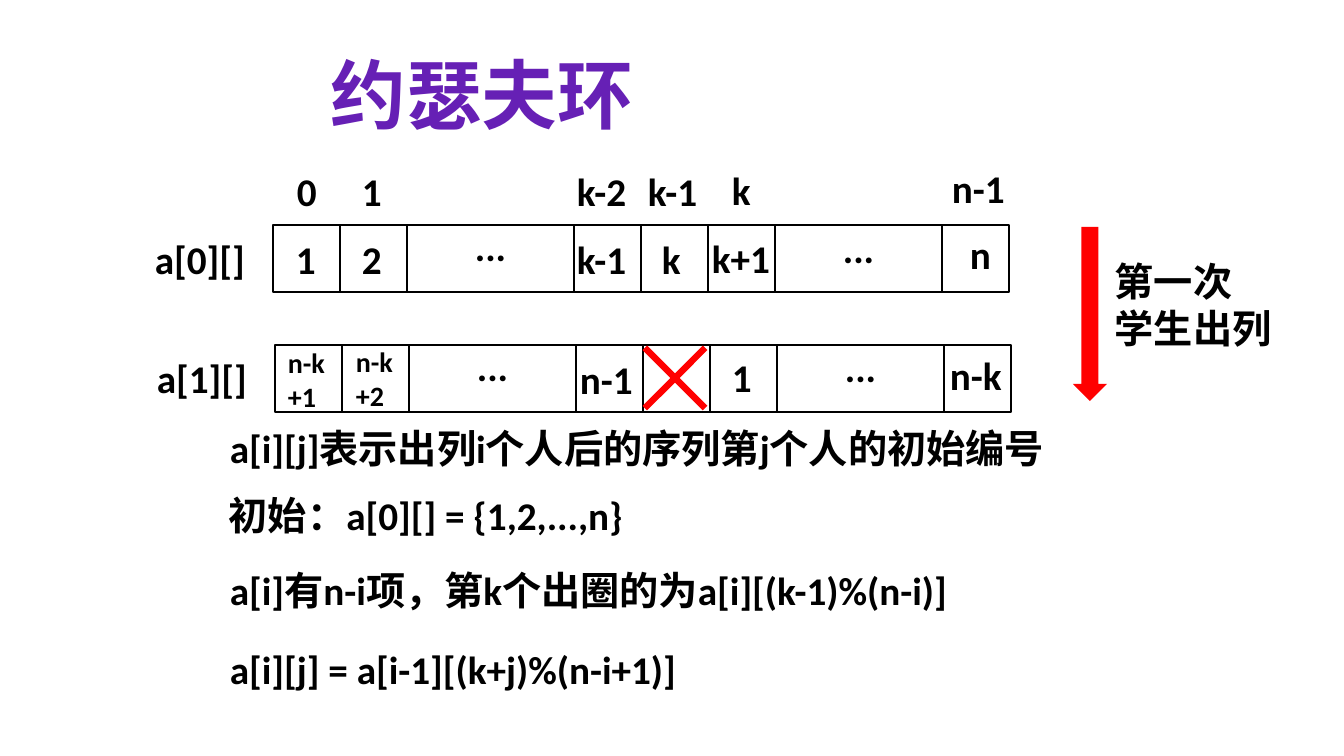
"""Build the Josephus circle slide: two array rows, a removal cross and formulas."""
from itertools import accumulate

from lxml import etree
from pptx import Presentation
from pptx.dml.color import RGBColor
from pptx.enum.shapes import MSO_SHAPE
from pptx.enum.text import MSO_AUTO_SIZE, PP_ALIGN
from pptx.oxml.ns import qn
from pptx.util import Pt

RECT, CROSS, ARROW = MSO_SHAPE.RECTANGLE, MSO_SHAPE.MATH_MULTIPLY, MSO_SHAPE.DOWN_ARROW
GROW, LEFT, CENTER = MSO_AUTO_SIZE.SHAPE_TO_FIT_TEXT, PP_ALIGN.LEFT, PP_ALIGN.CENTER
BLACK, WHITE = RGBColor(0, 0, 0), RGBColor(255, 255, 255)
RED, PURPLE = RGBColor(255, 0, 0), RGBColor(0x66, 0x20, 0xB5)
SCALE = 914400 / 100.8
FONT = {"name": "Calibri", "bold": True}

TITLE = ("约瑟夫环", 320, 43, 324)
CELL, GAP = 67, 167
CELL_WIDTHS = [CELL, CELL, GAP, CELL, CELL, CELL, GAP, CELL]
ROWS = [(273, 225), (275, 345)]
INDEXES = [
    ("0", 287, 162, 42), ("1", 352, 162, 42), ("k-2", 567, 162, 81),
    ("k-1", 638, 162, 81), ("k", 722, 161, 42), ("n-1", 942, 159, 81),
]
BEFORE = [
    ("a[0][]", 145, 230, 117), ("1", 286, 230, 42), ("2", 352, 230, 42),
    ("...", 465, 217, 53), ("k-1", 567, 230, 81), ("k", 652, 230, 42),
    ("k+1", 702, 229, 92), ("...", 833, 219, 53), ("n", 960, 225, 43),
]
AFTER = [
    ("a[1][]", 147, 349, 117), ("...", 467, 337, 53), ("n-1", 570, 350, 81),
    ("1", 722, 348, 42), ("...", 835, 338, 53), ("n-k", 940, 346, 82),
]
WRAPPED_CELLS = [("n-k\n+1", 278, 341, 65), ("n-k\n+2", 346, 340, 65)]
NOTES = [
    ("第一次\n学生出列", 1105, 252, 195),
    ("a[i][j]表示出列i个人后的序列第j个人的初始编号", 220, 419, 886),
    ("初始：a[0][] = {1,2,...,n}", 219, 486, 804),
    ("a[i]有n-i项，第k个出圈的为a[i][(k-1)%(n-i)]", 220, 561, 804),
    ("a[i][j] = a[i-1][(k+j)%(n-i+1)]", 220, 640, 804),
]
MARKS = [(CROSS, (617, 320, 116, 116), 0.056), (ARROW, (1073, 227, 34, 174), 0.5)]


def px(*lengths):
    return [round(n * SCALE) for n in lengths]


def add_shape(s, kind, box, fill, line=None):
    sp = s.shapes.add_shape(kind, *px(*box))
    sp.shadow.inherit = False
    sp.fill.solid()
    sp.fill.fore_color.rgb = fill
    if line is None:
        sp.line.fill.background()
    else:
        sp.line.color.rgb = line
        sp.line.width = Pt(1)
    return sp


def add_text(s, item, size=28, color=BLACK, align=LEFT, wrap=False):
    text, x, y, w = item
    lines = text.split("\n")
    height = len(lines) * size * 1.68 + 10
    tf = s.shapes.add_textbox(*px(x, y, w, height)).text_frame
    for name, value in {"word_wrap": wrap, "auto_size": GROW}.items():
        setattr(tf, name, value)
    for i, line in enumerate(lines):
        p = tf.add_paragraph() if i else tf.paragraphs[0]
        p.alignment = align
        r = p.add_run()
        r.text = line
        for name, value in {**FONT, "size": Pt(size)}.items():
            setattr(r.font, name, value)
        r.font.color.rgb = color
    return tf


def add_text_shadow(r):
    fill = r.font._element.find(qn("a:solidFill"))
    effects = etree.Element(qn("a:effectLst"))
    shadow = etree.SubElement(effects, qn("a:outerShdw"), blurRad="50800",
                              dist="50800", dir="2700000", algn="tl")
    tone = etree.SubElement(shadow, qn("a:srgbClr"), val="000000")
    etree.SubElement(tone, qn("a:alpha"), val="50000")
    fill.addnext(effects)


prs = Presentation()
prs.slide_width, prs.slide_height = px(1344, 756)
s = prs.slides.add_slide(prs.slide_layouts[6])

for left, top in ROWS:
    for x, w in zip(accumulate(CELL_WIDTHS, initial=left), CELL_WIDTHS):
        add_shape(s, RECT, (x, top, w, CELL), WHITE, BLACK)

for item in INDEXES + BEFORE + AFTER:
    add_text(s, item)
for item in WRAPPED_CELLS:
    add_text(s, item, size=20)
for item in NOTES:
    add_text(s, item, wrap=True)

for kind, box, adjustment in MARKS:
    add_shape(s, kind, box, RED).adjustments[0] = adjustment

title = add_text(s, TITLE, size=54, color=PURPLE, align=CENTER)
add_text_shadow(title.paragraphs[0].runs[0])

prs.save("out.pptx")
